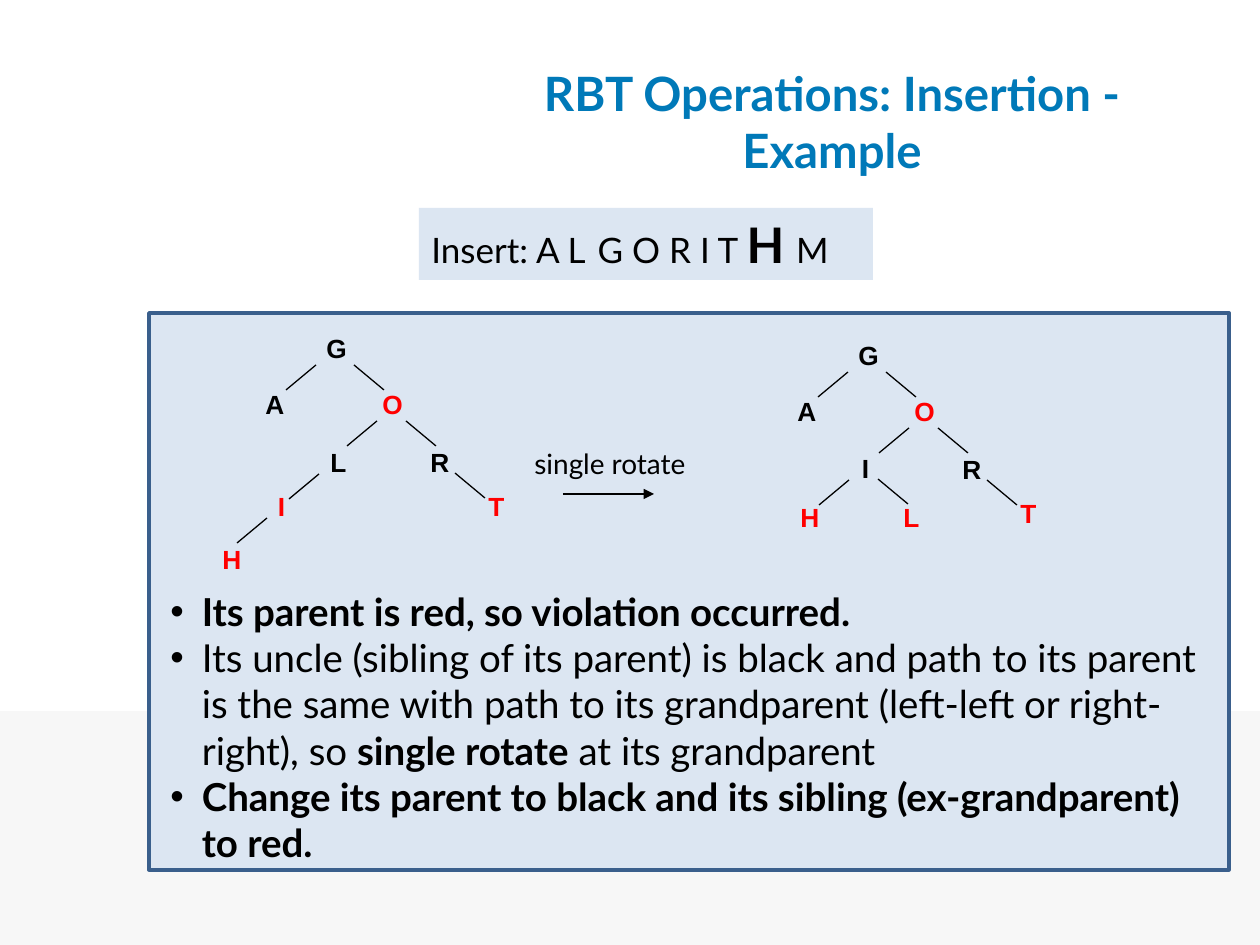
import pptx
import pptx.dml.color
import pptx.enum.shapes
import pptx.enum.text
import pptx.oxml.ns
import pptx.util
from lxml import etree

RGB = pptx.dml.color.RGBColor
BLACK = RGB(0x00, 0x00, 0x00)
RED = RGB(0xFF, 0x00, 0x00)
TITLE_BLUE = RGB(0x00, 0x79, 0xB8)
PALE_BLUE = RGB(0xDC, 0xE6, 0xF2)
FRAME_BLUE = RGB(0x3A, 0x5F, 0x8C)
BAND_GREY = RGB(0xF7, 0xF7, 0xF7)

PX = 914400 / 126
PT = pptx.util.Pt
QN = pptx.oxml.ns.qn
ALIGN = pptx.enum.text.PP_ALIGN
NO_FIT = pptx.enum.text.MSO_AUTO_SIZE.NONE

prs = pptx.Presentation()
prs.slide_width = round(1260 * PX)
prs.slide_height = round(945 * PX)
s = prs.slides.add_slide(prs.slide_layouts[5])


def add_text(text, box=None, sp=None, size=20, color=BLACK, font="Lato",
             bold=False, align=ALIGN.LEFT, wrap=False):
    """Fill sp, or a new text box; text is a list of paragraphs, each a list
    of (text, size, bold) runs, or one plain string."""
    sp = sp or s.shapes.add_textbox(*[round(v * PX) for v in box])
    tf = sp.text_frame
    tf.word_wrap = wrap
    tf.auto_size = NO_FIT
    paragraphs = [[(text, size, bold)]] if isinstance(text, str) else text
    for i, runs in enumerate(paragraphs):
        p = tf.add_paragraph() if i else tf.paragraphs[0]
        p.alignment = align
        for words, run_size, run_bold in runs:
            r = p.add_run()
            r.text = words
            r.font.name = font
            r.font.size = PT(run_size)
            r.font.bold = run_bold
            r.font.color.rgb = color
    return sp


def add_line(x1, y1, x2, y2):
    line = s.shapes.add_connector(
        pptx.enum.shapes.MSO_CONNECTOR.STRAIGHT,
        *[round(v * PX) for v in (x1, y1, x2, y2)])
    line.line.color.rgb = BLACK
    line.line.width = PT(0.75)
    etree.SubElement(line._element.spPr, QN("a:effectLst"))
    return line


# Background band and framed panel
for box, fill, edge in [((0, 711, 1260, 234), BAND_GREY, None),
                        ((149, 313, 1080, 557), PALE_BLUE, FRAME_BLUE)]:
    sp = s.shapes.add_shape(pptx.enum.shapes.MSO_SHAPE.RECTANGLE,
                            *[round(v * PX) for v in box])
    sp.shadow.inherit = False
    sp.fill.solid()
    sp.fill.fore_color.rgb = fill
    if edge:
        sp.line.color.rgb = edge
        sp.line.width = PT(2)
    else:
        sp.line.fill.background()

# Title
title = s.shapes.title
title.left, title.top, title.width, title.height = [
    round(v * PX) for v in (436, 66, 792, 110)]
add_text("RBT Operations: Insertion - Example", sp=title, size=27, bold=True,
         color=TITLE_BLUE, align=ALIGN.CENTER, wrap=True)
title.text_frame.vertical_anchor = pptx.enum.text.MSO_ANCHOR.MIDDLE

# Inserted word, with the current letter enlarged
word = add_text([[("Insert: A L", 20, False), (" ", 28, True),
                  ("G O R I T ", 20, False), ("H ", 28, True),
                  ("M", 20, False)]], box=(419, 208, 454, 72))
word.fill.solid()
word.fill.fore_color.rgb = PALE_BLUE

# Trees: nodes are (letter, centre x, top, colour), edges (x, y, direction)
shared_nodes = [("G", 336, 326, BLACK), ("A", 275, 382, BLACK),
                ("O", 392, 382, RED), ("R", 440, 440, BLACK),
                ("T", 498, 484, RED)]
shared_edges = [(316, 365, -1), (354, 365, 1), (377, 421, -1),
                (406, 421, 1), (455, 473, 1)]
before = ((0, 0),
          [("L", 340, 440, BLACK), ("I", 282, 484, RED), ("H", 232, 537, RED)],
          [(319, 474, -1), (267, 518, -1)])
after = ((532, 7),
         [("I", 334, 439, BLACK), ("H", 278, 488, RED), ("L", 381, 488, RED)],
         [(317, 473, -1), (346, 472, 1)])
for (dx, dy), nodes, edges in (before, after):
    for letter, x, y, color in shared_nodes + nodes:
        width = 33 if letter == "I" else 44
        add_text(letter, box=(x + dx - width / 2, y + dy, width, 44), size=15,
                 color=color, font="Arial", bold=True)
    for x, y, direction in shared_edges + edges:
        add_line(x + dx, y + dy, x + dx + 30 * direction, y + dy + 25)

# Rotation arrow
add_text("single rotate", box=(522, 440, 180, 47), size=16)
arrow = add_line(563, 494, 654, 494)
etree.SubElement(arrow.line._get_or_add_ln(), QN("a:tailEnd"), type="triangle")

# Explanation
notes = add_text([
    [("Its parent is red, so violation occurred.", 22, True)],
    [("Its uncle (sibling of its parent) is black and path to its parent is "
      "the same with path to its grandparent (left-left or right-right), so ",
      22, False),
     ("single rotate", 22, True), (" at its grandparent", 22, False)],
    [("Change its parent to black and its sibling (ex-grandparent) to red.",
      22, True)],
], box=(32, 582, 1197, 292), wrap=True)
for p in notes.text_frame.paragraphs:
    p.level = 2
    pPr = p._p.get_or_add_pPr()
    pPr.set("marL", str(pptx.util.Inches(1.25)))
    pPr.set("indent", str(pptx.util.Inches(-0.25)))
    etree.SubElement(pPr, QN("a:buFont"), typeface="Arial")
    etree.SubElement(pPr, QN("a:buChar"), char="•")

prs.save("out.pptx")
